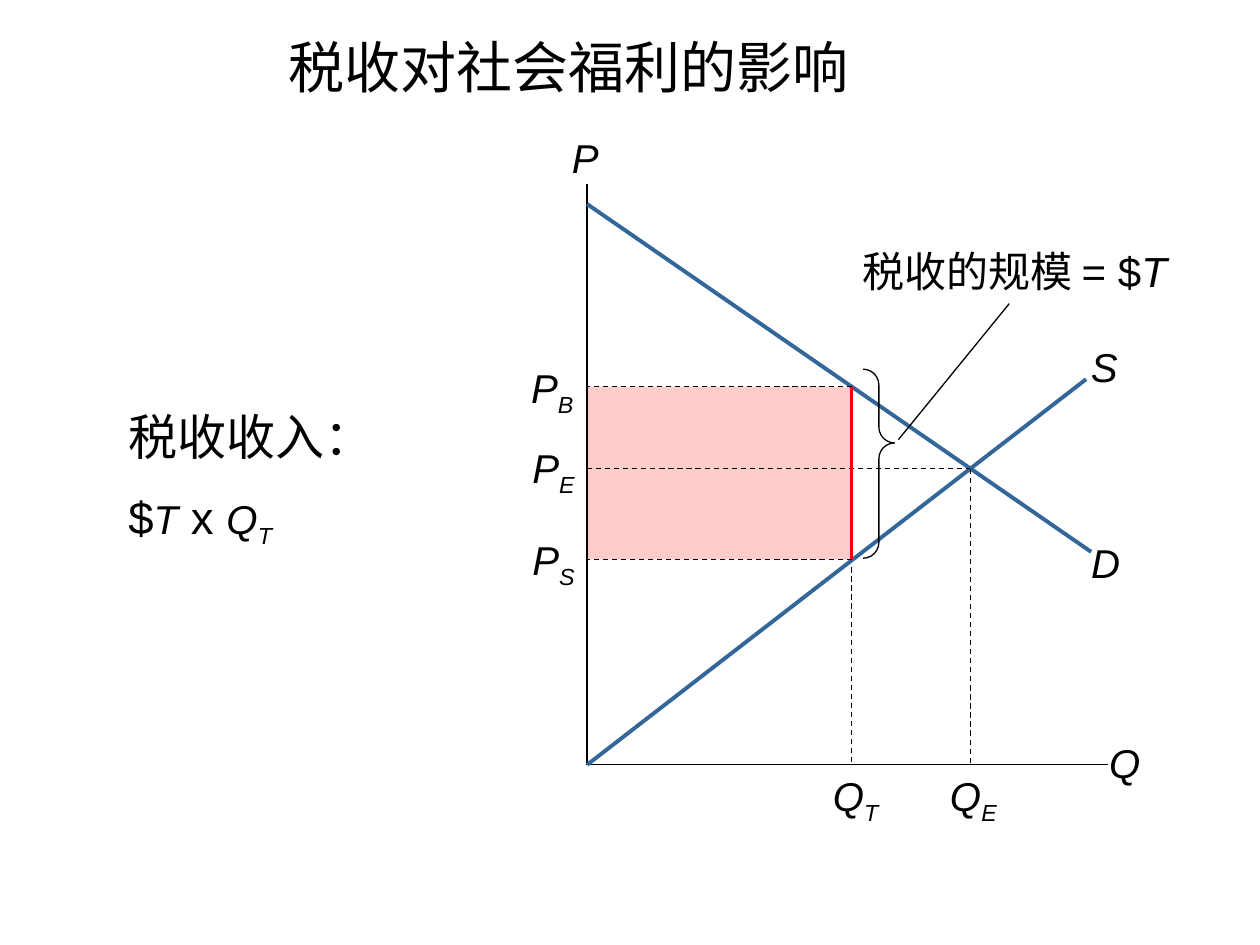
from lxml.etree import SubElement
from pptx import Presentation
from pptx.dml.color import RGBColor
from pptx.enum.dml import MSO_LINE
from pptx.enum.shapes import MSO_CONNECTOR, MSO_SHAPE
from pptx.enum.text import MSO_ANCHOR, MSO_AUTO_SIZE, PP_ALIGN
from pptx.oxml.ns import qn
from pptx.util import Inches, Pt

BLACK = RGBColor(0x00, 0x00, 0x00)
BLUE = RGBColor(0x33, 0x66, 0x99)
RED = RGBColor(0xFF, 0x00, 0x00)
PINK = RGBColor(0xFF, 0xCC, 0xCC)

# Key coordinates of the diagram, in inches
AXIS_X, AXIS_Y = 4.66, 6.07
Q_TAX, Q_EQUILIBRIUM = 6.76, 7.70
P_BUYER, P_EQUILIBRIUM, P_SELLER = 3.07, 3.72, 4.44
LABEL_HEIGHT = 0.48

# Runs: (text, size, italic, subscript)
TITLE = [[("税收对社会福利的影响", 32, False, False)]]
TAX_SIZE = [[("税收的规模 = $", 24, False, False), ("T", 24, True, False)]]
TAX_REVENUE = [
    [("税收收入：", 28, False, False)],
    [("$", 26, False, False), ("T", 23, True, False), (" x ", 26, False, False),
     ("Q", 23, True, False), ("T", 23, True, True)],
]

# Labels: (letter, subscript, left, top, width)
LABELS = [
    ("P", "", 4.45, 1.01, 0.40),
    ("Q", "", 8.75, 5.81, 0.40),
    ("D", "", 8.59, 4.22, 0.40),
    ("S", "", 8.57, 2.67, 0.40),
    ("P", "S", 4.08, 4.20, 0.58),
    ("P", "B", 4.07, 2.83, 0.58),
    ("P", "E", 4.08, 3.47, 0.58),
    ("Q", "E", 7.37, AXIS_Y, 0.64),
    ("Q", "T", 6.43, AXIS_Y, 0.64),
]

# Lines: (start, end, colour, width, dashed)
LINES = [
    ((Q_TAX, P_BUYER), (Q_TAX, AXIS_Y), BLACK, 0.75, True),
    ((AXIS_X, 1.46), (AXIS_X, AXIS_Y), BLACK, 0.75, False),
    ((AXIS_X, AXIS_Y), (8.79, AXIS_Y), BLACK, 0.75, False),
    ((AXIS_X, 1.62), (8.66, 4.38), BLUE, 2.25, False),
    ((AXIS_X, AXIS_Y), (8.62, 3.01), BLUE, 2.25, False),
    ((Q_TAX, P_SELLER), (AXIS_X, P_SELLER), BLACK, 0.75, True),
    ((Q_TAX, P_BUYER), (AXIS_X, P_BUYER), BLACK, 0.75, True),
    ((AXIS_X, P_EQUILIBRIUM), (Q_EQUILIBRIUM, P_EQUILIBRIUM), BLACK, 0.75, True),
    ((Q_EQUILIBRIUM, P_EQUILIBRIUM), (Q_EQUILIBRIUM, AXIS_Y), BLACK, 0.75, True),
    ((7.13, 3.49), (8.01, 2.41), BLACK, 0.75, False),
    ((Q_TAX, P_BUYER), (Q_TAX, P_SELLER), RED, 1.5, False),
]


def add_line(slide, start, end, color, width, dashed):
    points = [Inches(value) for value in (*start, *end)]
    connector = slide.shapes.add_connector(MSO_CONNECTOR.STRAIGHT, *points)
    connector.line.color.rgb = color
    connector.line.width = Pt(width)
    if dashed:
        connector.line.dash_style = MSO_LINE.DASH
    SubElement(connector._element.spPr, qn("a:effectLst"))


def add_text(slide, box, paragraphs, align, wrap=True, anchor=MSO_ANCHOR.TOP,
             line_spacing=1.0, gap=0):
    shape = slide.shapes.add_textbox(*[Inches(value) for value in box])
    frame = shape.text_frame
    frame.word_wrap = wrap
    frame.auto_size = MSO_AUTO_SIZE.NONE
    frame.vertical_anchor = anchor
    for index, runs in enumerate(paragraphs):
        paragraph = frame.add_paragraph() if index else frame.paragraphs[0]
        paragraph.alignment = align
        paragraph.line_spacing = line_spacing
        if index:
            paragraph.space_before = Pt(gap)
        paragraph.font.name = "Arial"
        paragraph.font.color.rgb = BLACK
        for text, size, italic, subscript in runs:
            run = paragraph.add_run()
            run.text = text
            run.font.name = "Arial"
            run.font.size = Pt(size)
            run.font.italic = italic
            run.font.color.rgb = BLACK
            if subscript:
                run.font._element.set("baseline", "-25000")


def add_plain_shape(slide, kind, box):
    shape = slide.shapes.add_shape(kind, *[Inches(value) for value in box])
    shape.shadow.inherit = False
    return shape


def main():
    presentation = Presentation()
    presentation.slide_width, presentation.slide_height = Inches(10), Inches(7.5)
    slide = presentation.slides.add_slide(presentation.slide_layouts[6])

    revenue_area = add_plain_shape(
        slide, MSO_SHAPE.RECTANGLE,
        (AXIS_X, P_BUYER, Q_TAX - AXIS_X, P_SELLER - P_BUYER))
    revenue_area.fill.solid()
    revenue_area.fill.fore_color.rgb = PINK
    revenue_area.line.fill.background()

    for line in LINES:
        add_line(slide, *line)

    brace = add_plain_shape(slide, MSO_SHAPE.LEFT_BRACE, (6.85, 2.93, 0.25, 1.5))
    brace.rotation = 180
    brace.adjustments[0], brace.adjustments[1] = 0.5, 0.61
    brace.fill.background()
    brace.line.color.rgb = BLACK
    brace.line.width = Pt(0.75)

    for letter, subscript, left, top, width in LABELS:
        runs = [(letter, 23, True, False)]
        if subscript:
            runs.append((subscript, 23, True, True))
        add_text(slide, (left, top, width, LABEL_HEIGHT), [runs],
                 PP_ALIGN.RIGHT, wrap=False)

    add_text(slide, (6.55, 1.9, 2.81, 0.97), TAX_SIZE, PP_ALIGN.RIGHT)
    add_text(slide, (0.92, 3.15, 2.81, 2.25), TAX_REVENUE, PP_ALIGN.LEFT,
             line_spacing=1.05, gap=12)
    add_text(slide, (1.75, 0.17, 5.53, 0.67), TITLE, PP_ALIGN.CENTER,
             anchor=MSO_ANCHOR.BOTTOM)

    presentation.save("out.pptx")


if __name__ == "__main__":
    main()
